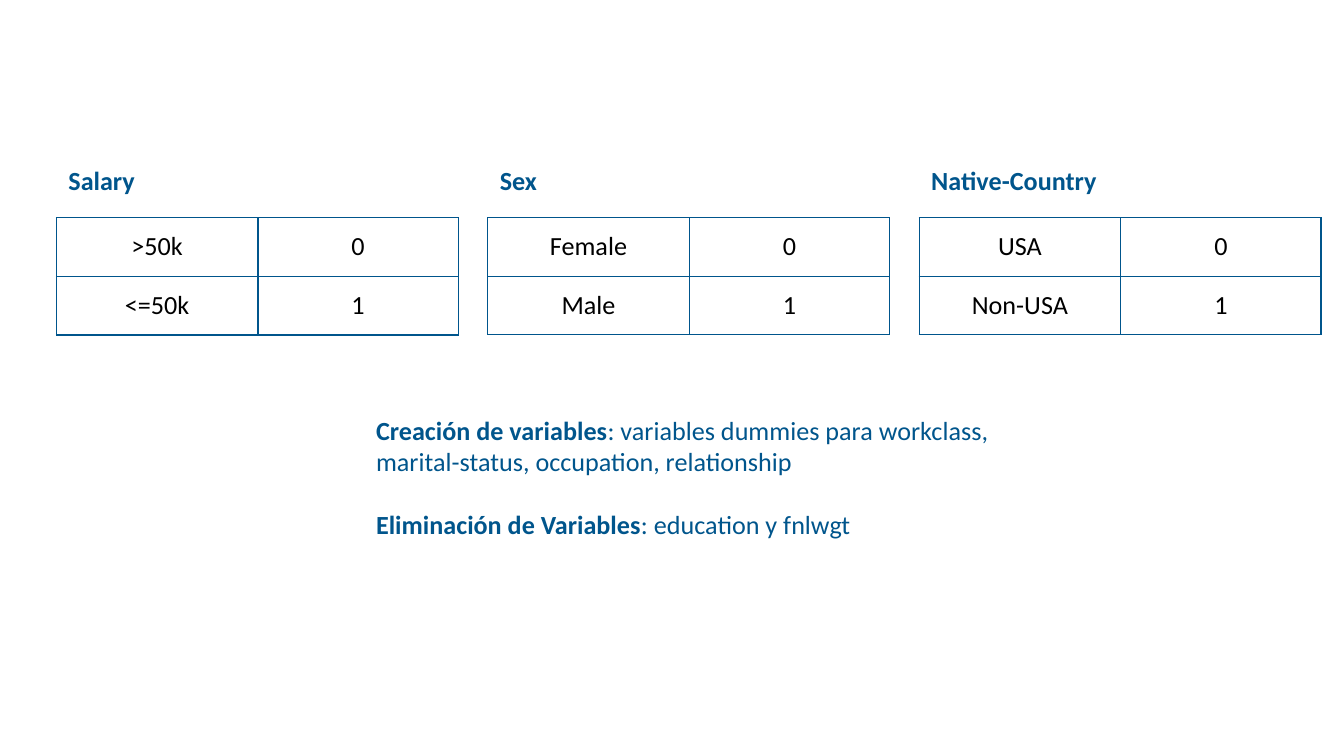
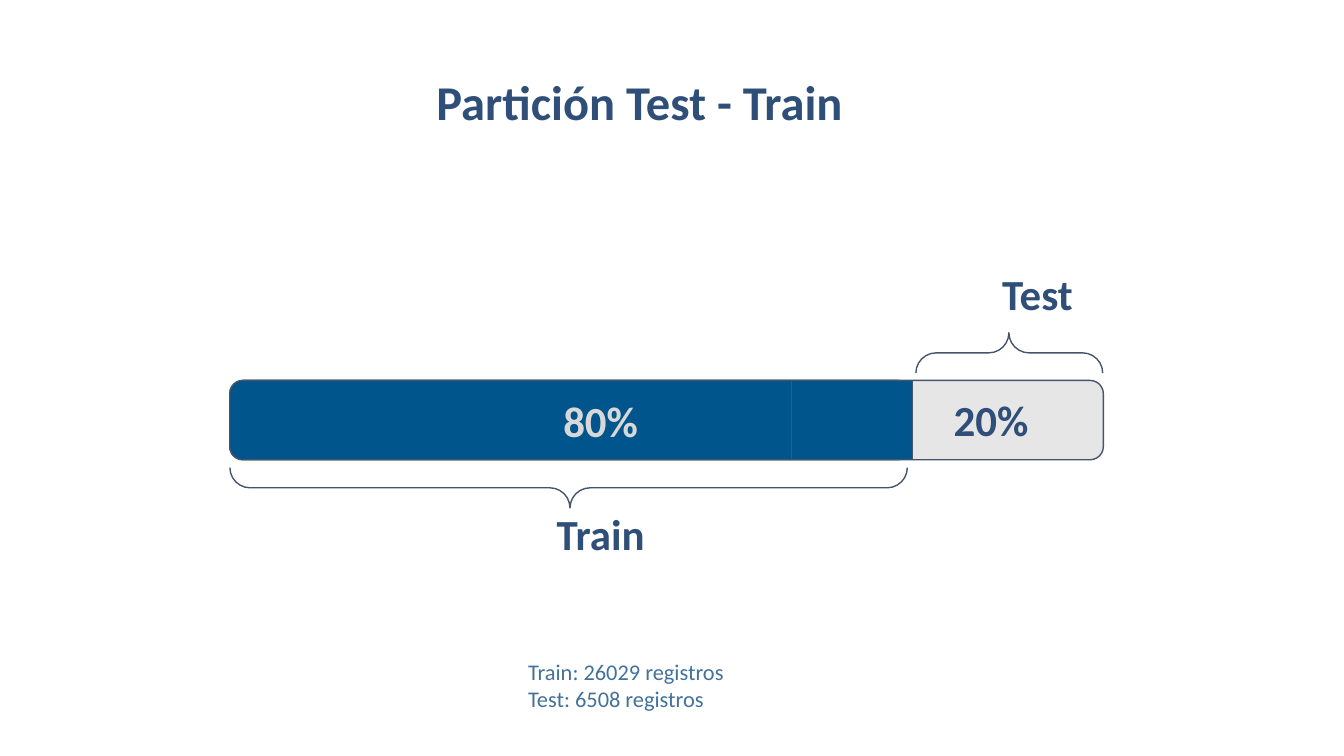
import pptx
import pptx.dml.color
import pptx.enum.shapes
import pptx.enum.text
import pptx.oxml
import pptx.oxml.ns
import pptx.util

Pt = pptx.util.Pt
RGBColor = pptx.dml.color.RGBColor
SHAPE = pptx.enum.shapes.MSO_SHAPE
ALIGN = pptx.enum.text.PP_ALIGN
ANCHOR = pptx.enum.text.MSO_ANCHOR

FONT = "Calibri"
COLORS = {
    "blue": "00558C",
    "navy": "2F4F78",
    "steel": "42719B",
    "outline": "44546A",
    "test": "E7E6E6",
    "pale": "D8D8D8",
    "black": "000000",
}


def add_text(slide, box, paragraphs, size, color, bold=False, align=ALIGN.LEFT,
             anchor=ANCHOR.TOP, margins=(7.2, 7.2), line_spacing=None, before=0):
    """Each paragraph is a string, or a (bold lead, plain rest) pair."""
    frame = slide.shapes.add_textbox(*map(Pt, box)).text_frame
    frame.word_wrap = True
    frame.vertical_anchor = anchor
    frame.margin_left = frame.margin_right = Pt(margins[0])
    frame.margin_top = frame.margin_bottom = Pt(margins[1])
    for i, content in enumerate(paragraphs):
        paragraph = frame.add_paragraph() if i else frame.paragraphs[0]
        paragraph.alignment = align
        paragraph.line_spacing = line_spacing
        paragraph.space_before = Pt(before)
        paragraph.font.name = FONT
        paragraph.font.size = Pt(size)
        paragraph.font.color.rgb = RGBColor.from_string(COLORS[color])
        if isinstance(content, str):
            paragraph.font.bold = bold
            paragraph.add_run().text = content
        else:
            for part, is_bold in zip(content, (True, False)):
                run = paragraph.add_run()
                run.text = part
                run.font.bold = is_bold
    return frame


def add_outlined(slide, kind, box, fill=None, rotation=0):
    shape = slide.shapes.add_shape(kind, *map(Pt, box))
    shape.shadow.inherit = False
    shape.rotation = rotation
    if fill:
        shape.fill.solid()
        shape.fill.fore_color.rgb = RGBColor.from_string(COLORS[fill])
    else:
        shape.fill.background()
    shape.line.color.rgb = RGBColor.from_string(COLORS["outline"])
    shape.line.width = Pt(0.75)
    return shape


prs = pptx.Presentation()
prs.slide_width, prs.slide_height = Pt(720), Pt(405)
blank = prs.slide_layouts[6]

# Slide 1: variable encoding
encoding = prs.slides.add_slide(blank)
variables = [
    ("Salary", (">50k", "<=50k")),
    ("Sex", ("Female", "Male")),
    ("Native-Country", ("USA", "Non-USA")),
]
for i, (variable, categories) in enumerate(variables):
    left = 30.2 + 231.1 * i
    codes = encoding.shapes.add_table(
        2, 2, Pt(left), Pt(116.6), Pt(215.3), Pt(62.8)).table
    codes.first_row = codes.horz_banding = False
    codes.columns[0].width, codes.columns[1].width = Pt(108), Pt(107.3)
    for code, category in enumerate(categories):
        for column, value in enumerate((category, str(code))):
            cell = codes.cell(code, column)
            cell.text = value
            cell.margin_left = cell.margin_right = Pt(7.2)
            cell.margin_top = cell.margin_bottom = Pt(7.2)
            paragraph = cell.text_frame.paragraphs[0]
            paragraph.alignment = ALIGN.CENTER
            paragraph.font.name = FONT
            paragraph.font.size = Pt(14)
            paragraph.font.color.rgb = RGBColor.from_string(COLORS["black"])
            properties = cell._tc.get_or_add_tcPr()
            for side in ("lnL", "lnR", "lnT", "lnB"):
                properties.append(pptx.oxml.parse_xml(
                    f'<a:{side} {pptx.oxml.ns.nsdecls("a")} w="{Pt(0.75)}"><a:solidFill>'
                    f'<a:srgbClr val="{COLORS["blue"]}"/></a:solidFill></a:{side}>'))
            cell.fill.background()
    add_text(encoding, (left - 0.6, 80.6, 216, 26), [variable], 14, "blue", bold=True)

changes = add_text(encoding, (194.4, 214.6, 348.5, 90.7), [
    ("Creación de variables",
     ": variables dummies para workclass, marital-status, occupation, relationship"),
    ("Eliminación de Variables", ": education y fnlwgt"),
], 14, "blue")
changes.paragraphs[1].space_before = Pt(17)

# Slide 2: train and test split
split = prs.slides.add_slide(blank)
add_text(split, (146.2, 41.8, 393.1, 31), ["Partición Test - Train"], 26, "navy",
         bold=True, align=ALIGN.CENTER, anchor=ANCHOR.BOTTOM, margins=(5, 2.9),
         line_spacing=0.9)

bar_top, bar_height = 203.8, 42.5
for kind, left, width, fill in [
    (SHAPE.ROUNDED_RECTANGLE, 123.1, 468, "test"),
    (SHAPE.ROUNDED_RECTANGLE, 123.1, 365, "blue"),
    (SHAPE.RECTANGLE, 424.1, 64.8, "blue"),
]:
    add_outlined(split, kind, (left, bar_top, width, bar_height), fill)

for box, rotation in [((293.8, 79.9, 21.6, 362.9), 90), ((529.9, 139, 21.6, 100.1), 270)]:
    brace = add_outlined(split, SHAPE.RIGHT_BRACE, box, rotation=rotation)
    brace.adjustments[0], brace.adjustments[1] = 0.5, 0.498

for label, left, top in [("Train", 280.8, 272.2), ("Test", 514.8, 143.3)]:
    add_text(split, (left, top, 82.1, 31), [label], 23, "navy", bold=True,
             align=ALIGN.CENTER, anchor=ANCHOR.MIDDLE, margins=(5, 2.9),
             line_spacing=0.9, before=8)

for share, box, color, anchor in [
    ("80%", (280.8, 213.1, 82.1, 23.8), "pale", ANCHOR.MIDDLE),
    ("20%", (496.1, 205.9, 69.8, 38.9), "navy", ANCHOR.TOP),
]:
    add_text(split, box, [share], 23, color, bold=True, align=ALIGN.CENTER,
             anchor=anchor, margins=(5, 5))

add_text(split, (275.8, 345.6, 133.2, 42.5),
         ["Train: 26029 registros", "Test: 6508 registros"], 12, "steel")

prs.save("out.pptx")
